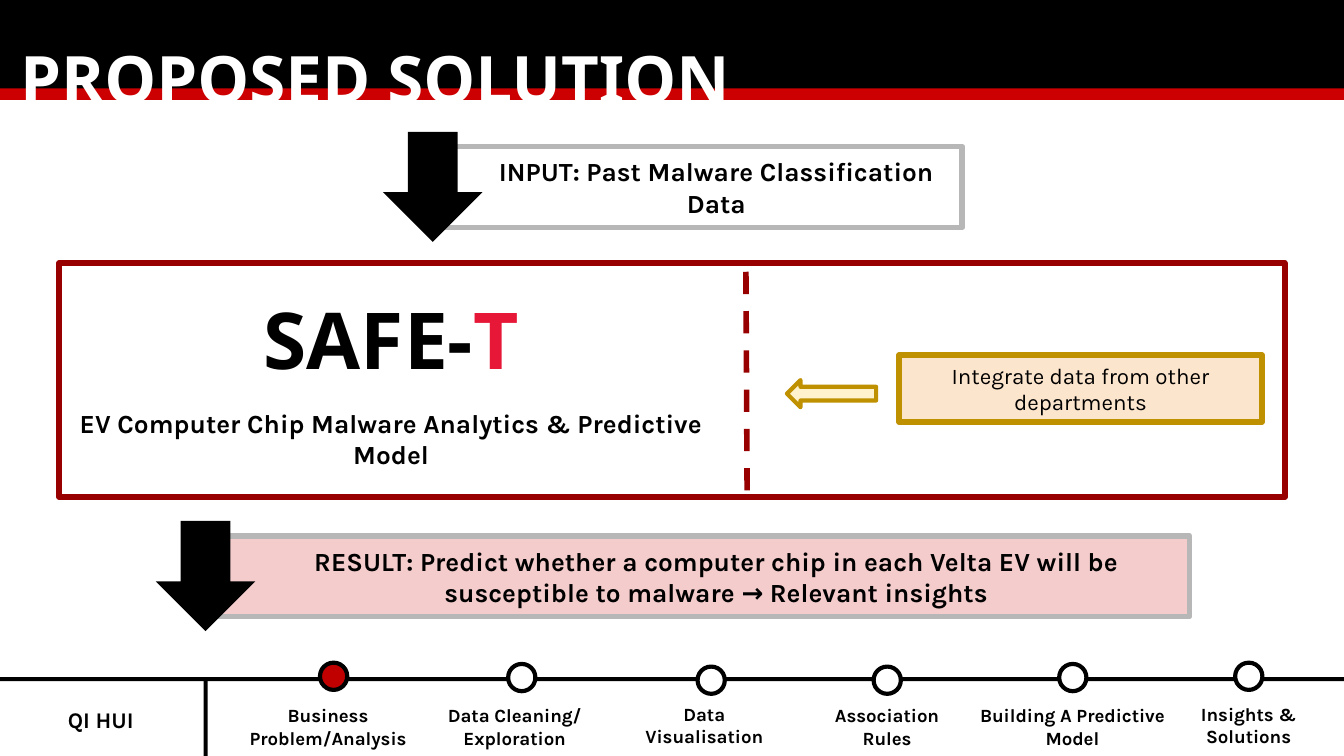
from dataclasses import dataclass

from lxml import etree
from pptx import Presentation
from pptx.dml.color import RGBColor
from pptx.enum import dml, shapes, text
from pptx.oxml.ns import qn
from pptx.util import Pt

Box = tuple[float, float, float, float]
KIND = shapes.MSO_SHAPE
ALIGN = text.PP_ALIGN


@dataclass(frozen=True)
class Theme:
    black: str = "000000"
    white: str = "FFFFFF"
    bar_red: str = "CC0000"
    done: str = "C00000"
    accent: str = "E61737"
    frame: str = "980000"
    grey: str = "B7B7B7"
    pink: str = "F4CCCC"
    gold: str = "BF9000"
    cream: str = "FFF2CC"
    peach: str = "FCE5CD"
    head: str = "Noto Sans"
    body: str = "Karla"
    title: float = 35
    logo: float = 42
    strong: float = 14
    normal: float = 12
    small: float = 10
    thick: float = 3
    medium: float = 2.25


@dataclass(frozen=True)
class Step:
    label: str
    label_x: float
    label_y: float
    dot_x: float
    dot_y: float
    fill: str


T = Theme()
STEPS = [
    Step("Business Problem/Analysis", 121, 371.5, 171.4, 355, T.done),
    Step("Data Cleaning/ Exploration", 221, 371.5, 272.2, 355.7, T.white),
    Step("Data\nVisualisation", 322.6, 370.8, 373.7, 357.1, T.white),
    Step("Association\vRules", 420.5, 371.5, 468, 357.1, T.white),
    Step("Building A Predictive\vModel", 519.8, 371.5, 567.4, 355.7, T.white),
    Step("Insights &\nSolutions", 614.2, 370.8, 661.7, 355, T.white),
]


def style_run(r, size: float, font: str, color: str, bold: bool) -> None:
    r.font.size = Pt(size)
    r.font.name = font
    r.font.bold = bold
    r.font.color.rgb = RGBColor.from_string(color)


def write(sp, content: str, *, size: float = T.strong, font: str = T.body,
          color: str = T.black, bold: bool = True, align=ALIGN.CENTER,
          inset: float = 7.2, right: float | None = None, indent: float = 0):
    """Fill a shape with text; each newline starts a paragraph."""
    tf = sp.text_frame
    tf.word_wrap = True
    tf.auto_size = text.MSO_AUTO_SIZE.NONE
    tf.vertical_anchor = text.MSO_ANCHOR.MIDDLE
    tf.margin_left = tf.margin_top = tf.margin_bottom = Pt(inset)
    tf.margin_right = Pt(inset if right is None else right)
    tf.text = content
    for p in tf.paragraphs:
        p.alignment = align
        if indent:
            p._p.get_or_add_pPr().set("marL", str(Pt(indent)))
        for r in p.runs:
            style_run(r, size, font, color, bold)
    return tf


def add_shape(parent, kind, box: Box, fill: str | None = None,
              line: str | None = None, width: float = T.thick):
    sp = parent.shapes.add_shape(kind, *map(Pt, box))
    sp.shadow.inherit = False
    if fill:
        sp.fill.solid()
        sp.fill.fore_color.rgb = RGBColor.from_string(fill)
    else:
        sp.fill.background()
    if line:
        sp.line.color.rgb = RGBColor.from_string(line)
        sp.line.width = Pt(width)
    else:
        sp.line.fill.background()
    return sp


def add_label(s, box: Box, content: str, **style) -> None:
    write(s.shapes.add_textbox(*map(Pt, box)), content, **style)


def add_flow(parent, box: Box, content: str, fill: str | None = None) -> None:
    """Draw a captioned box with a down arrow over its left edge."""
    x, y, _, _ = box
    sp = add_shape(parent, KIND.RECTANGLE, box, fill, T.grey)
    write(sp, content, indent=18)
    add_shape(parent, KIND.DOWN_ARROW, (x - 28.8, y - 7.9, 53.3, 59), T.black)


def add_header(s) -> None:
    add_shape(s, KIND.RECTANGLE, (0, 0, 720, 51.8), T.black)
    add_shape(s, KIND.RECTANGLE, (0, 47.3, 720, 6.3), T.bar_red)
    sp = s.shapes.title
    sp.left, sp.top, sp.width, sp.height = map(Pt, (3.6, 2.2, 512, 78.5))
    write(sp, "PROPOSED SOLUTION", size=T.title, font=T.head,
          color=T.white, align=ALIGN.LEFT)
    s.shapes.element.append(sp.element)  # in front of the bars


def add_timeline(s) -> None:
    add_shape(s, KIND.RECTANGLE, (0, 362.8, 720, 2.2), T.black)
    add_shape(s, KIND.RECTANGLE, (109.1, 362.8, 2.2, 42.2), T.black)
    for step in STEPS:
        add_shape(s, KIND.OVAL, (step.dot_x, step.dot_y, 14.6, 14.6),
                  step.fill, T.black, T.medium)
        add_label(s, (step.label_x, step.label_y, 109.4, 35.3), step.label,
                  size=T.small, inset=0)
    add_label(s, (3.6, 365.8, 100.8, 39.2), "QI HUI", size=T.normal)


def add_product(s) -> None:
    grp = s.shapes.add_group_shape()
    sp = add_shape(grp, KIND.RECTANGLE, (31.7, 141, 656.6, 125.4), line=T.frame)
    # The wide right margin keeps the text left of the divider
    tf = write(sp, "SAFE-\nEV Computer Chip Malware Analytics & Predictive Model",
               right=308)
    name, tagline = tf.paragraphs
    style_run(name.runs[0], T.logo, T.head, T.black, True)
    r = name.add_run()
    r.text = "T"
    style_run(r, T.logo, T.head, T.accent, True)
    tagline.space_before = Pt(12)

    add_shape(grp, KIND.LEFT_ARROW, (421.6, 203.6, 47.8, 14.6),
              T.cream, T.gold, T.medium)
    sp = add_shape(grp, KIND.RECTANGLE, (481.7, 190.2, 194.4, 36), T.peach, T.gold)
    write(sp, "Integrate data from other departments",
          size=T.normal, bold=False)

    line = grp.shapes.add_connector(
        shapes.MSO_CONNECTOR.STRAIGHT, Pt(399.6), Pt(145.6), Pt(400.3), Pt(270.7))
    line.line.color.rgb = RGBColor.from_string(T.frame)
    line.line.width = Pt(T.thick)
    line.line.dash_style = dml.MSO_LINE.DASH
    etree.SubElement(line.element.spPr, qn("a:effectLst"))


def main() -> None:
    prs = Presentation()
    prs.slide_width, prs.slide_height = Pt(720), Pt(405)
    s = prs.slides.add_slide(prs.slide_layouts[5])
    add_header(s)
    add_timeline(s)
    add_product(s)
    add_flow(s.shapes.add_group_shape(), (234, 78.5, 281.5, 43.4),
             "INPUT: Past Malware Classification Data")
    add_flow(s, (112.3, 287, 524.9, 43.4),
             "RESULT: Predict whether a computer chip in each Velta EV will be "
             "susceptible to malware → Relevant insights", T.pink)
    prs.save("out.pptx")


if __name__ == "__main__":
    main()
